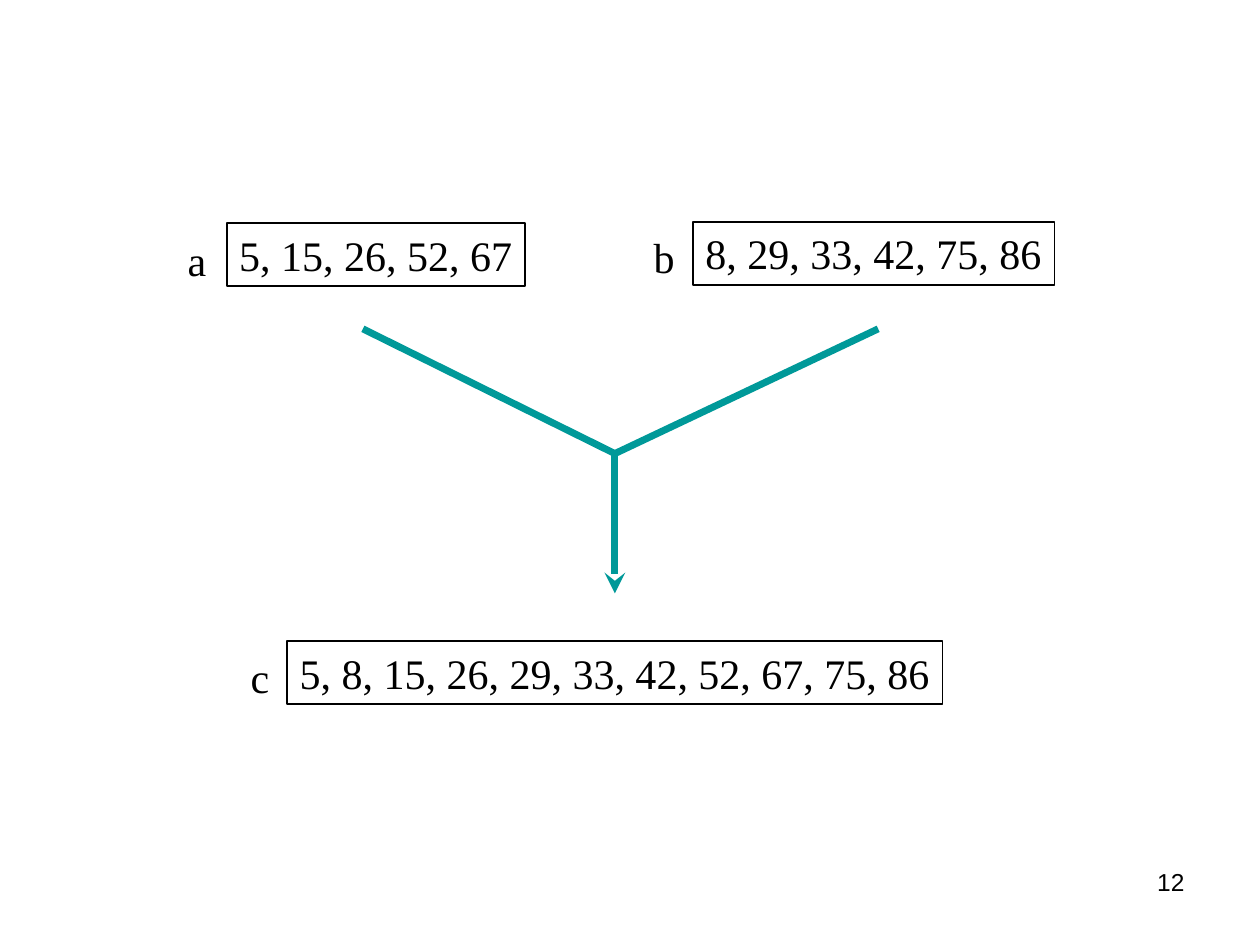
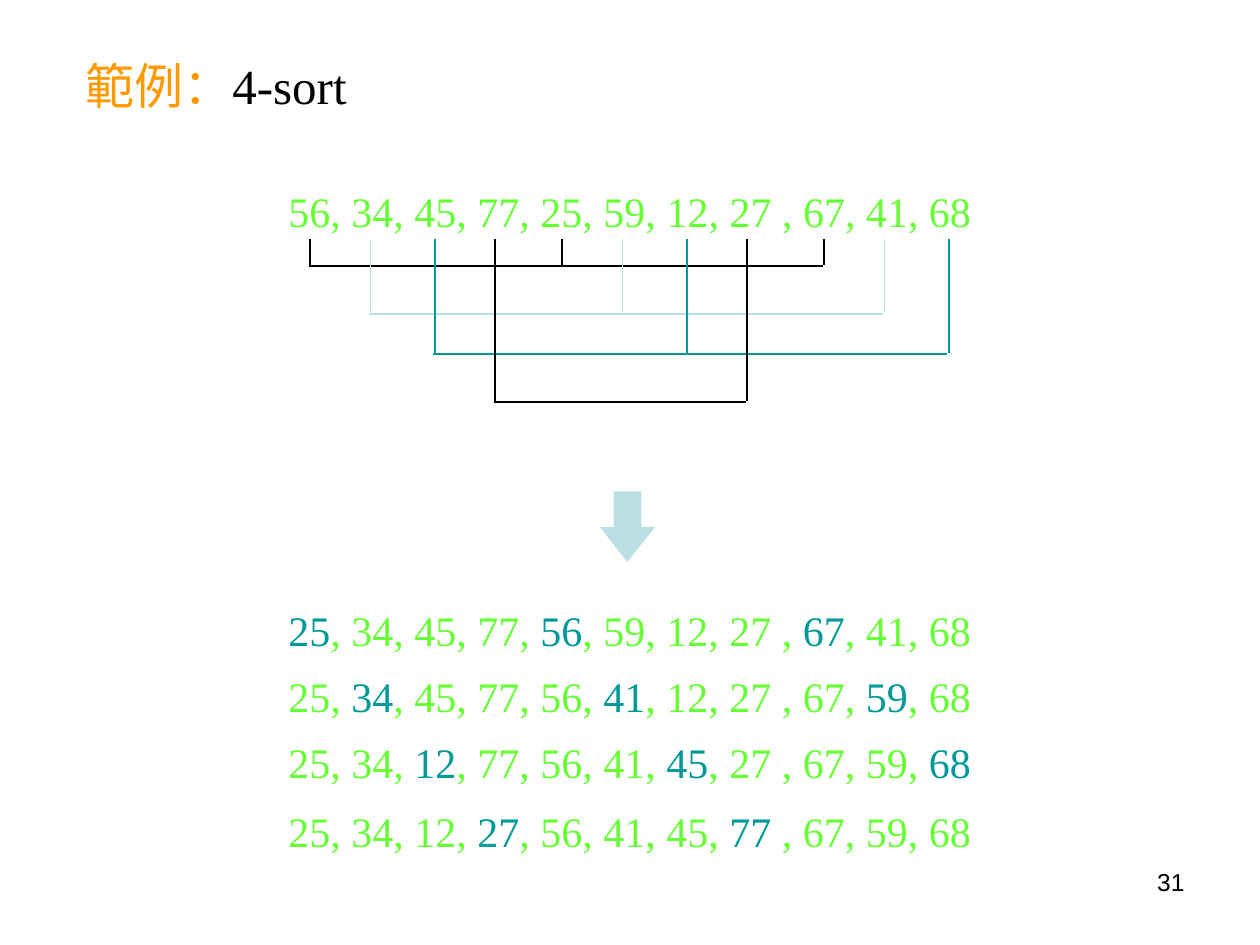
from lxml import etree
from pptx import Presentation
from pptx.dml.color import RGBColor
from pptx.enum import shapes, text
from pptx.oxml.ns import qn
from pptx.util import Inches, Pt

BLACK = RGBColor(0x00, 0x00, 0x00)
TEAL = RGBColor(0x00, 0x99, 0x99)
PALE = RGBColor(0xBB, 0xE0, 0xE3)
LIME = RGBColor(0x66, 0xFF, 0x33)
AMBER = RGBColor(0xFF, 0x99, 0x00)
SERIF, SANS, CJK = "Times New Roman", "Arial", "Noto Sans CJK JP"

# Merge slide: name, name place, list, list place
LISTS = [
    ("a", (1.39, 1.81, 0.35, 0.5), "5, 15, 26, 52, 67", (1.8, 1.77, 2.37, 0.5)),
    ("b", (5.09, 1.79, 0.37, 0.5), "8, 29, 33, 42, 75, 86", (5.5, 1.76, 2.87, 0.5)),
    ("c", (1.89, 5.12, 0.35, 0.5), "5, 8, 15, 26, 29, 33, 42, 52, 67, 75, 86",
     (2.28, 5.09, 5.2, 0.5)),
]
JOIN = (4.88, 3.6)
STARTS = [(2.88, 2.61), (6.97, 2.61)]
TIP = (4.88, 4.71)

# Sort slide: stars enclose the numbers that a pass has sorted
TITLE = [("範例：", CJK, AMBER), ("4-sort", SERIF, BLACK)]
ROWS = [
    (1.42, "56, 34, 45, 77, 25, 59, 12, 27 , 67, 41, 68"),
    (4.75, "*25*, 34, 45, 77, *56*, 59, 12, 27 , *67*, 41, 68"),
    (5.27, "25, *34*, 45, 77, 56, *41*, 12, 27 , 67, *59*, 68"),
    (5.8, "25, 34, *12*, 77, 56, 41, *45*, 27 , 67, 59, *68*"),
    (6.34, "25, 34, 12, *27*, 56, 41, 45, *77* , 67, 59, 68"),
]
# Combs: first stem, stem count, bar height, colour
COMBS = [(2.46, 3, 2.11, BLACK), (2.94, 3, 2.49, PALE),
         (3.45, 3, 2.81, TEAL), (3.93, 2, 3.19, BLACK)]
STEPS = (0, 2, 4.08)
STEM_TOP = 1.9

FRAME = {"margin_left": Inches(0.1), "margin_right": Inches(0.1),
         "margin_top": Inches(0.05), "margin_bottom": Inches(0.05),
         "vertical_anchor": text.MSO_ANCHOR.TOP, "word_wrap": False,
         "auto_size": text.MSO_AUTO_SIZE.SHAPE_TO_FIT_TEXT}
FIXED = {"word_wrap": True, "auto_size": text.MSO_AUTO_SIZE.NONE}


def place(at):
    return [Inches(v) for v in at]


def write(shape, runs, size=24, align=text.PP_ALIGN.LEFT, frame=None):
    """Fill a shape with (words, font, colour) runs."""
    box = shape.text_frame
    for key, value in {**FRAME, **(frame or {})}.items():
        setattr(box, key, value)
    para = box.paragraphs[0]
    para.alignment = align
    for words, face, color in runs:
        run = para.add_run()
        run.text = words
        run.font.size, run.font.name = Pt(size), face
        run.font.color.rgb = color
        if face == CJK:
            run.font.fill.solid()
            run.font.color.rgb = color
            latin = run._r.rPr.find(qn("a:latin"))
            east = etree.Element(qn("a:ea"), typeface=face)
            latin.addnext(east)


def label(slide, at, runs, **style):
    write(slide.shapes.add_textbox(*place(at)), runs, **style)


def boxed(slide, at, words):
    box = slide.shapes.add_shape(shapes.MSO_SHAPE.RECTANGLE, *place(at))
    box.shadow.inherit = False
    box.fill.background()
    box.line.color.rgb, box.line.width = BLACK, Pt(1)
    write(box, [(words, SERIF, BLACK)])


def line(slide, start, end, color, width=1, head=None):
    link = slide.shapes.add_connector(
        shapes.MSO_CONNECTOR.STRAIGHT, *place(start + end))
    link.line.color.rgb, link.line.width = color, Pt(width)
    if head:
        etree.SubElement(link.line._get_or_add_ln(), qn("a:tailEnd"), type=head)
    etree.SubElement(link._element.spPr, qn("a:effectLst"))


def number(slide, words):
    label(slide, (7.17, 6.83, 2.33, 0.52), [(words, SANS, BLACK)],
          size=14, align=text.PP_ALIGN.RIGHT, frame=FIXED)


def merge(deck):
    slide = deck.slides.add_slide(deck.slide_layouts[6])
    for name, spot, words, at in LISTS:
        boxed(slide, at, words)
        label(slide, spot, [(name, SERIF, BLACK)])
    for start in STARTS:
        line(slide, start, JOIN, TEAL, 4)
    line(slide, JOIN, TIP, TEAL, 4, "stealth")
    number(slide, "12")


def sort(deck):
    slide = deck.slides.add_slide(deck.slide_layouts[5])
    title = slide.shapes.title
    title.left, title.top, title.width, title.height = place((0.58, 0.39, 2.37, 0.57))
    write(title, TITLE, size=28)

    # Number rows: every second piece is marked
    for top, row in ROWS:
        runs = [(part, SERIF, (LIME, TEAL)[i % 2])
                for i, part in enumerate(row.split("*")) if part]
        label(slide, (2.19, top, 5.62, 0.5), runs)

    # Combs joining every fourth number
    for first, count, bar, color in COMBS:
        stems = [first + step for step in STEPS[:count]]
        for x in stems:
            line(slide, (x, STEM_TOP), (x, bar - 0.01), color)
        line(slide, (stems[0] - 0.01, bar), (stems[-1] - 0.01, bar), color)

    # Arrow to the sorted rows
    arrow = slide.shapes.add_shape(
        shapes.MSO_SHAPE.DOWN_ARROW, *place((4.76, 3.9, 0.44, 0.56)))
    arrow.adjustments[0], arrow.adjustments[1] = 0.5, 0.63
    arrow.shadow.inherit = False
    arrow.fill.solid()
    arrow.fill.fore_color.rgb = PALE
    arrow.line.fill.background()
    number(slide, "31")


def main():
    deck = Presentation()
    deck.slide_width, deck.slide_height = Inches(10), Inches(7.5)
    merge(deck)
    sort(deck)
    deck.save("out.pptx")


if __name__ == "__main__":
    main()
